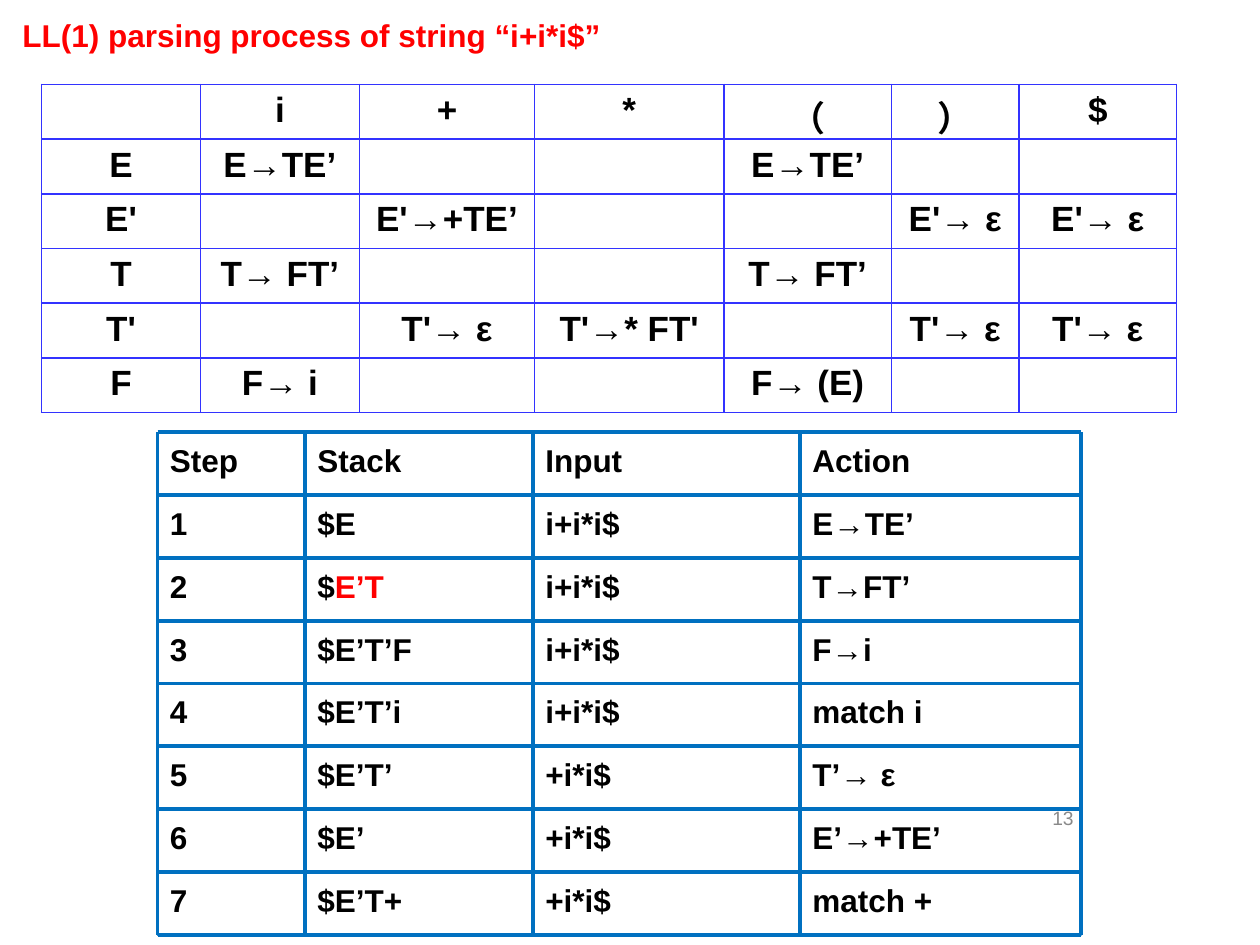
"""Build the slide on LL(1) parsing: a parsing table above the trace of a string."""
from itertools import accumulate

from lxml import etree
from pptx import Presentation, util as u
from pptx.dml import color
from pptx.enum import shapes, text
from pptx.oxml import ns

TITLE = "LL(1) parsing process of string “i+i*i$”"
PAGE = "13"
PARSE_BOX = (0.33, 0.67, 9.01, 2.6)
PARSE_WIDTHS = [1.26, 1.26, 1.39, 1.5, 1.33, 1.01, 1.25]
PARSE_ROWS = [
    ["", "i", "+", "*", "（", "）", "$"],
    ["E", "E→TE’", "", "", "E→TE’", "", ""],
    ["E'", "", "E'→+TE’", "", "", "E'→ ε", "E'→ ε"],
    ["T", "T→ FT’", "", "", "T→ FT’", "", ""],
    ["T'", "", "T'→ ε", "T'→* FT'", "", "T'→ ε", "T'→ ε"],
    ["F", "F→ i", "", "", "F→ (E)", "", ""],
]
TRACE_LEFT, TRACE_TOP, TRACE_HEIGHT = 1.25, 3.43, 3.99
TRACE_WIDTHS = [1.17, 1.81, 2.12, 2.23]
TRACE_ROWS = [
    [["Step"], ["Stack"], ["Input"], ["Action"]],
    [["1"], ["$E"], ["i+i*i$"], ["E→TE’"]],
    [["2"], ["$", "E’T"], ["i+i*i$"], ["T→FT’"]],
    [["3"], ["$E’T’F"], ["i+i*i$"], ["F→i"]],
    [["4"], ["$E’T’i"], ["i+i*i$"], ["match i"]],
    [["5"], ["$E’T’"], ["+i*i$"], ["T’→ ε"]],
    [["6"], ["$E’"], ["+i*i$"], ["E’→+TE’"]],
    [["7"], ["$E’T+"], ["+i*i$"], ["match +"]],
]
BLACK, RED, GRAY, INDIGO, BLUE = "000000", "FF0000", "898989", "3333FF", "0070C0"
LEFT, CENTER, RIGHT = text.PP_ALIGN.LEFT, text.PP_ALIGN.CENTER, text.PP_ALIGN.RIGHT


def rgb(hex_color):
    return color.RGBColor.from_string(hex_color)


def write(paragraph, pieces, size, colors=(BLACK, RED), bold=True, align=LEFT):
    paragraph.alignment = align
    paragraph.font.size = u.Pt(size)
    for words, hex_color in zip(pieces, colors):
        run = paragraph.add_run()
        run.text = words
        run.font.name, run.font.size, run.font.bold = "Arial", u.Pt(size), bold
        run.font.color.rgb = rgb(hex_color)


def add_border(cell, hex_color, points):
    properties = cell._tc.get_or_add_tcPr()
    for side in ("a:lnL", "a:lnR", "a:lnT", "a:lnB"):
        edge = etree.SubElement(properties, ns.qn(side), w=str(u.Pt(points)))
        fill = etree.SubElement(edge, ns.qn("a:solidFill"))
        etree.SubElement(fill, ns.qn("a:srgbClr"), val=hex_color)


def add_parse_table(slide):
    left, top, width, height = PARSE_BOX
    table = slide.shapes.add_table(len(PARSE_ROWS), len(PARSE_WIDTHS),
                                   *map(u.Inches, PARSE_BOX)).table
    table.first_row = table.horz_banding = False
    for column, share in zip(table.columns, PARSE_WIDTHS):
        column.width = u.Inches(width * share / sum(PARSE_WIDTHS))
    for r, row in enumerate(PARSE_ROWS):
        table.rows[r].height = u.Inches(height / len(PARSE_ROWS))
        for c, words in enumerate(row):
            cell = table.cell(r, c)
            add_border(cell, INDIGO, 1)
            cell.fill.background()
            write(cell.text_frame.paragraphs[0], [words] if words else [], 20, align=CENTER)


def add_trace_cell(slide, box, pieces):
    cell = slide.shapes.add_shape(shapes.MSO_SHAPE.RECTANGLE, *map(u.Inches, box))
    cell.shadow.inherit = False
    cell.fill.background()
    cell.line.color.rgb, cell.line.width = rgb(BLUE), u.Pt(0.75)
    frame = cell.text_frame
    frame.word_wrap, frame.vertical_anchor = True, text.MSO_ANCHOR.TOP
    frame.margin_top = u.Inches(0.07)
    write(frame.paragraphs[0], pieces, 18)


def add_rule(slide, *ends):
    rule = slide.shapes.add_connector(shapes.MSO_CONNECTOR.STRAIGHT, *map(u.Inches, ends))
    rule.line.color.rgb, rule.line.width = rgb(BLUE), u.Pt(2.25)
    etree.SubElement(rule._element.spPr, ns.qn("a:effectLst"))


def add_trace(slide):
    step = TRACE_HEIGHT / len(TRACE_ROWS)
    xs = list(accumulate(TRACE_WIDTHS, initial=TRACE_LEFT))
    ys = [TRACE_TOP + step * r for r in range(len(TRACE_ROWS) + 1)]
    for y, row in reversed(list(zip(ys, TRACE_ROWS))):
        for x, width, pieces in reversed(list(zip(xs, TRACE_WIDTHS, row))):
            add_trace_cell(slide, (x, y, width, step), pieces)
    for y in ys:
        add_rule(slide, xs[0], y, xs[-1], y)
    for x in xs:
        add_rule(slide, x, ys[0], x, ys[-1])


def add_label(slide, box, words, size, **style):
    frame = slide.shapes.add_textbox(*map(u.Inches, box)).text_frame
    frame.word_wrap = True
    write(frame.paragraphs[0], [words], size, **style)
    return frame


def main():
    deck = Presentation()
    deck.slide_width, deck.slide_height = u.Inches(10), u.Inches(7.5)
    slide = deck.slides.add_slide(deck.slide_layouts[6])
    add_label(slide, (0.08, 0.08, 9.75, 0.58), TITLE, 18, colors=[RED])
    add_parse_table(slide)
    add_trace(slide)
    page = add_label(slide, (6.5, 6.31, 2.12, 0.36), PAGE, 11,
                     colors=[GRAY], bold=False, align=RIGHT)
    page.vertical_anchor = text.MSO_ANCHOR.MIDDLE
    deck.save("out.pptx")


if __name__ == "__main__":
    main()
